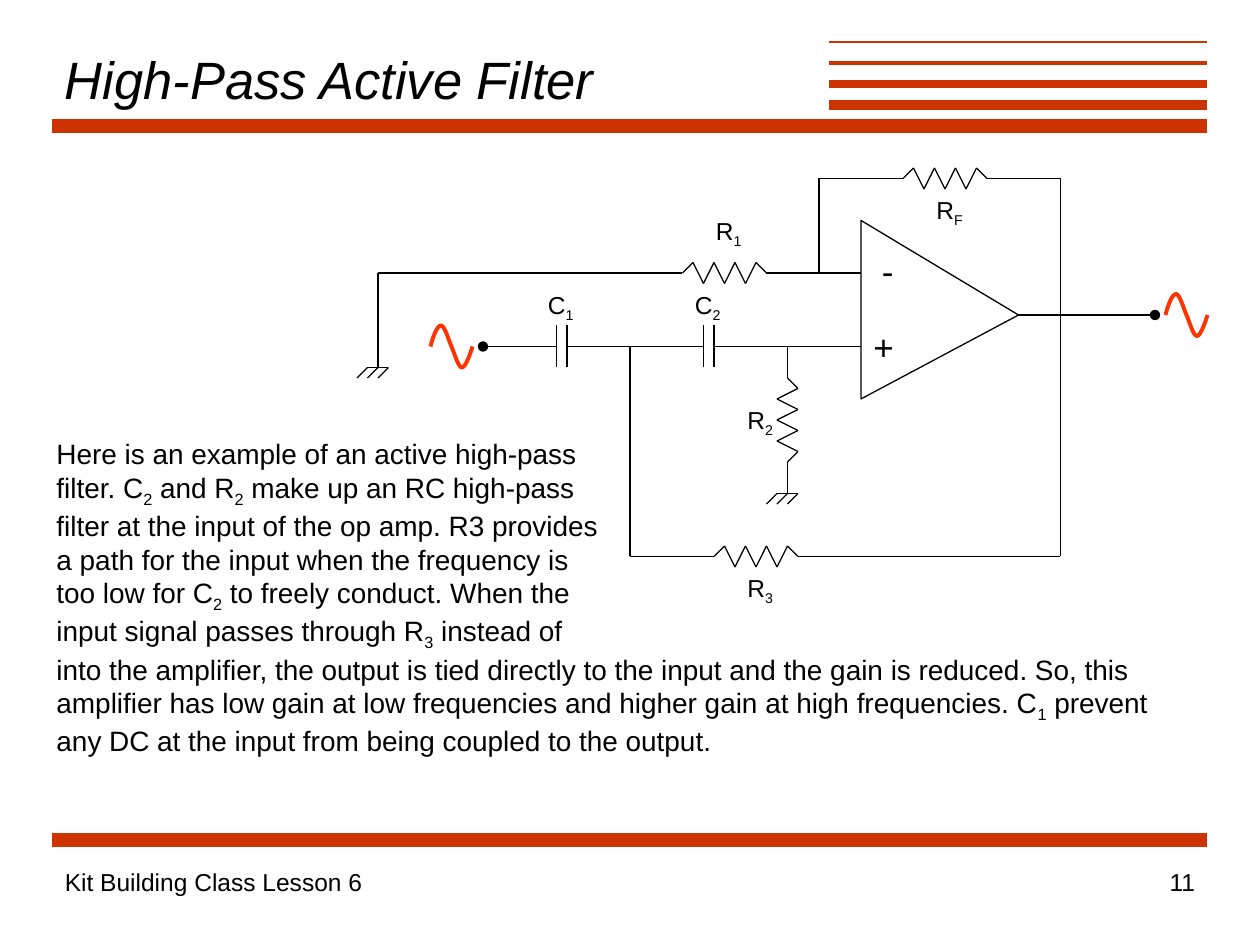
from itertools import pairwise
from lxml.etree import SubElement
from pptx import Presentation
from pptx.dml.color import RGBColor
from pptx.enum.shapes import MSO_CONNECTOR, MSO_SHAPE
from pptx.enum.text import MSO_ANCHOR, PP_ALIGN
from pptx.oxml.ns import qn
from pptx.util import Cm, Pt

# All positions are counted in grid steps of a twelfth of an inch
STEP = 2.54 / 12
COLORS = {"text": "000000", "wire": "000000", "bar": "CC3300", "wave": "FF3300"}

presentation = Presentation()
presentation.slide_width = Cm(25.4)
presentation.slide_height = Cm(19.05)
slide = presentation.slides.add_slide(presentation.slide_layouts[6])


def draw_line(start, end, color="wire", width=0.75, parent=slide, dot=False):
    ends = [Cm(value * STEP) for value in (*start, *end)]
    connector = parent.shapes.add_connector(MSO_CONNECTOR.STRAIGHT, *ends)
    connector.line.color.rgb = RGBColor.from_string(COLORS[color])
    connector.line.width = Pt(width)
    if dot:
        SubElement(connector.line._get_or_add_ln(), qn("a:tailEnd"), type="oval")
    SubElement(connector._element.spPr, qn("a:effectLst"))


def write_text(box, lines, size, italic=False, align=PP_ALIGN.LEFT,
               anchor=MSO_ANCHOR.TOP):
    """Write one paragraph a line; the letter after "_" is a subscript."""
    shape = slide.shapes.add_textbox(*[Cm(value * STEP) for value in box])
    frame = shape.text_frame
    frame.word_wrap = True
    frame.vertical_anchor = anchor
    font_format = {"name": "Arial", "size": Pt(size), "italic": italic}
    for index, line in enumerate(lines):
        paragraph = frame.add_paragraph() if index else frame.paragraphs[0]
        paragraph.alignment = align
        first, *others = line.split("_")
        pieces = [(first, False)]
        for part in others:
            pieces += [(part[0], True), (part[1:], False)]
        for text, subscript in pieces:
            if not text:
                continue
            run = paragraph.add_run()
            run.text = text
            for name, value in font_format.items():
                setattr(run.font, name, value)
            run.font.color.rgb = RGBColor.from_string(COLORS["text"])
            if subscript:
                run.font._element.set("baseline", "-25000")


# Bars of the page frame: left end, height, thickness
for left, y, width in [(5, 12, 8), (79, 10, 6), (79, 8, 4.5), (79, 6, 2.25),
                       (79, 4, 1.5), (5, 80, 8)]:
    draw_line((left, y), (115, y), "bar", width)

# Title and footer
write_text((5, 4, 74, 7), ["High-Pass Active Filter"], 30, italic=True,
           anchor=MSO_ANCHOR.MIDDLE)
write_text((5, 82, 83, 6), ["Kit Building Class Lesson 6"], 14)
write_text((90, 82, 25, 6), ["11"], 14, align=PP_ALIGN.RIGHT)

# Op amp
amplifier = slide.shapes.add_shape(
    MSO_SHAPE.ISOSCELES_TRIANGLE, *[Cm(value * STEP) for value in (81, 22, 17, 15)])
amplifier.rotation = 90
amplifier.adjustments[0] = 0.53
amplifier.shadow.inherit = False
amplifier.fill.background()
amplifier.line.color.rgb = RGBColor.from_string(COLORS["wire"])
amplifier.line.width = Pt(0.75)
write_text((82, 30.4, 5, 5.3), ["+"], 20)
write_text((82.8, 23.2, 4, 5.3), ["-"], 20)

# Wires, each a chain of corners
wires = [
    [(65, 26), (36, 26), (36, 35)],
    [(73, 26), (82, 26)],
    [(86, 17), (78, 17), (78, 26)],
    [(94, 17), (101, 17), (101, 53), (76, 53)],
    [(68, 53), (60, 53), (60, 33)],
    [(54, 33), (67, 33)],
    [(68, 33), (82, 33)],
    [(75, 33), (75, 36)],
    [(75, 44), (75, 47)],
]
for wire in wires:
    for start, end in pairwise(wire):
        draw_line(start, end)

# Input and output terminals
draw_line((53, 33), (46, 33), dot=True)
draw_line((97, 30), (110, 30), dot=True)

# Resistors, eight steps long
ZIGZAG = list(enumerate([0, 1, -1, 1, -1, 1, -1, 1, 0]))
for x, y, vertical in [(65, 26, False), (86, 17, False), (75, 36, True),
                       (68, 53, False)]:
    group = slide.shapes.add_group_shape()
    corners = [(x + side, y + along) if vertical else (x + along, y - side)
               for along, side in ZIGZAG]
    for start, end in pairwise(corners):
        draw_line(start, end, parent=group)

# Capacitors, two plates one step apart
for left in (53, 67):
    for x in (left, left + 1):
        draw_line((x, 31), (x, 35))

# Grounds
for x, y in [(36, 35), (75, 47)]:
    draw_line((x + 1, y), (x - 1, y))
    for offset in (-1, 0, 1):
        draw_line((x + offset, y), (x + offset - 1, y + 1))

# Sine waves: a start point, then three Bezier points a segment
WAVE = [(0, 2), (0.25, 1), (0.65, 0), (1, 0), (1.35, 0), (1.7, 1.3), (2, 2),
        (2.3, 2.7), (2.65, 4), (3, 4), (3.35, 4), (3.85, 2.5), (4, 2)]
for left, top in [(41, 31), (111, 28)]:
    points = [(Cm((left + x) * STEP), Cm((top + y) * STEP)) for x, y in WAVE]
    builder = slide.shapes.build_freeform(*points[0])
    builder.add_line_segments(points[1:], close=False)
    wave = builder.convert_to_shape()
    wave.shadow.inherit = False
    wave.fill.background()
    wave.line.color.rgb = RGBColor.from_string(COLORS["wave"])
    wave.line.width = Pt(2.25)
    # Join every three straight segments into one curve
    segments = list(wave._element.iter(qn("a:lnTo")))
    outline = segments[0].getparent()
    for index, segment in enumerate(segments):
        if index % 3 == 0:
            curve = SubElement(outline, qn("a:cubicBezTo"))
        curve.append(segment[0])
        outline.remove(segment)

# Part labels
for label, left, top in [("R_1", 67, 20), ("R_F", 88, 18), ("R_2", 70, 38),
                         ("C_1", 51, 27), ("C_2", 65, 27), ("R_3", 70, 54)]:
    write_text((left, top, 5, 4.4), [label], 14)

# Explanation
write_text((4.2, 41, 109, 31.8), [
    "Here is an example of an active high-pass",
    "filter. C_2 and R_2 make up an RC high-pass",
    "filter at the input of the op amp. R3 provides",
    "a path for the input when the frequency is",
    "too low for C_2 to freely conduct. When the",
    "input signal passes through R_3 instead of",
    "into the amplifier, the output is tied directly to the input and the gain is "
    "reduced. So, this",
    "amplifier has low gain at low frequencies and higher gain at high frequencies. "
    "C_1 prevent",
    "any DC at the input from being coupled to the output.",
], 16)

presentation.save("out.pptx")
